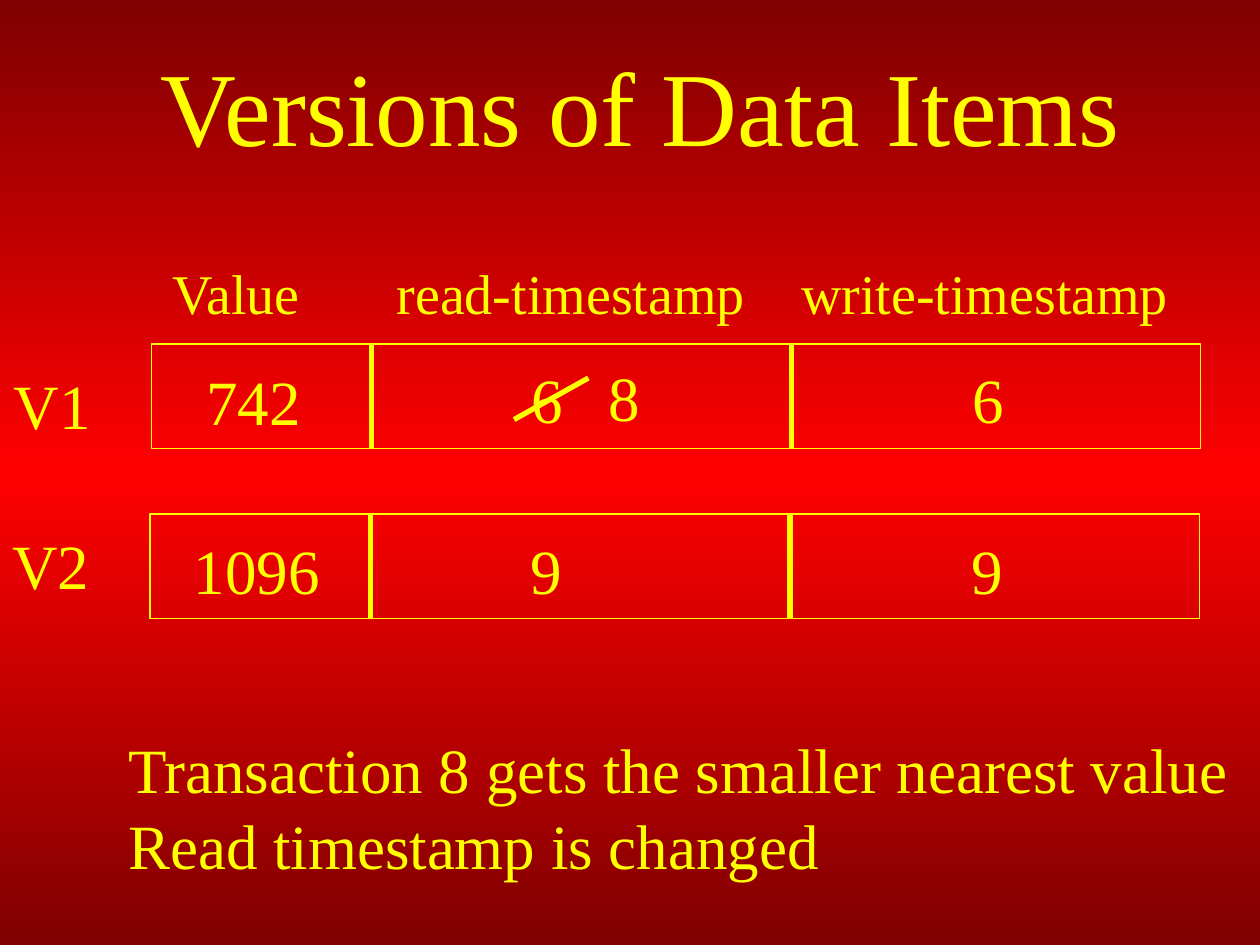
import copy
import pptx
import pptx.util
import pptx.dml.color
import pptx.enum.dml
import pptx.enum.shapes
import pptx.enum.text
import pptx.oxml
import pptx.oxml.ns
from pptx.util import Inches

YELLOW = "FFFF00"
FONT = "Times New Roman"


def rgb(value):
    return pptx.dml.color.RGBColor.from_string(value)


def add_background(s, colors):
    fill = s.background.fill
    fill.gradient()
    fill.gradient_angle = 270
    stops = s._element.find(".//" + pptx.oxml.ns.qn("a:gsLst"))
    stops.append(copy.deepcopy(stops[-1]))
    for i, (stop, color) in enumerate(zip(fill.gradient_stops, colors)):
        stop.position = i / (len(colors) - 1)
        stop.color.rgb = rgb(color)


def add_text(s, box, lines, size=36, wrap=False, tabs=()):
    sp = s.shapes.add_textbox(*map(Inches, box))
    tf = sp.text_frame
    tf.word_wrap = wrap
    for i, line in enumerate(lines):
        p = tf.add_paragraph() if i else tf.paragraphs[0]
        if tabs:
            tab_list = pptx.oxml.parse_xml(f"<a:tabLst {pptx.oxml.ns.nsdecls('a')}/>")
            for pos in tabs:
                tab = tab_list.makeelement(pptx.oxml.ns.qn("a:tab"))
                tab.set("pos", str(Inches(pos)))
                tab.set("algn", "l")
                tab_list.append(tab)
            p._p.get_or_add_pPr().append(tab_list)
        r = p.add_run()
        r.text = line
        r.font.name = FONT
        r.font.size = pptx.util.Pt(size)
        r.font.color.rgb = rgb(YELLOW)
    return tf


def add_line(s, x1, y1, x2, y2):
    line = s.shapes.add_connector(
        pptx.enum.shapes.MSO_CONNECTOR.STRAIGHT, *map(Inches, (x1, y1, x2, y2)))
    line.line.color.rgb = rgb(YELLOW)
    line.line.width = pptx.util.Pt(3)
    line._element.spPr.append(
        pptx.oxml.parse_xml(f"<a:effectLst {pptx.oxml.ns.nsdecls('a')}/>"))


def add_title(s, box, text):
    tf = add_text(s, box, [text], size=60, wrap=True)
    tf.vertical_anchor = pptx.enum.text.MSO_ANCHOR.MIDDLE
    tf.paragraphs[0].alignment = pptx.enum.text.PP_ALIGN.CENTER


def add_version(s, box, label, label_dy, cells):
    left, top, width, height = box
    sp = s.shapes.add_shape(
        pptx.enum.shapes.MSO_SHAPE.RECTANGLE, *map(Inches, box))
    sp.shadow.inherit = False
    sp.fill.background()
    sp.line.color.rgb = rgb(YELLOW)
    sp.line.width = pptx.util.Pt(0.75)
    for dx in (1.75, 5.08):
        add_line(s, left + dx, top, left + dx, top + height)
    for text, dx, dy, cell_width in cells:
        add_text(s, (left + dx, top + dy, cell_width, 0.7), [text])
    add_text(s, (left - 1.19, top + label_dy, 0.81, 0.7), [label])


def add_update(s, box, text):
    left, top, width, height = box
    add_line(s, left + width, top, left, top + height)
    add_text(s, (left + 0.65, top - 0.2, 0.45, 0.7), [text])


def main():
    prs = pptx.Presentation()
    prs.slide_width = Inches(10)
    prs.slide_height = Inches(7.5)
    s = prs.slides.add_slide(prs.slide_layouts[6])
    add_background(s, ("7F0000", "FF0000", "7F0000"))
    add_title(s, (0.83, 0.33, 8.5, 1), "Versions of Data Items")
    add_text(s, (1.27, 2, 8.17, 0.64), ["Value\tread-timestamp\twrite-timestamp"],
             size=32, wrap=True, tabs=(1.78, 4.99))
    add_version(s, (1.2, 2.73, 8.33, 0.83), "V1", 0.13,
                [("742", 0.34, 0.1, 0.95), ("6", 2.92, 0.08, 0.45), ("6", 6.42, 0.08, 0.45)])
    add_version(s, (1.19, 4.08, 8.33, 0.83), "V2", 0.05,
                [("1096", 0.25, 0.09, 1.2), ("9", 2.92, 0.09, 0.45), ("9", 6.42, 0.09, 0.45)])
    add_text(s, (0.92, 5.75, 8.94, 1.3),
             ["Transaction 8 gets the smaller nearest value", "Read timestamp is changed"])
    add_update(s, (4.08, 3, 0.59, 0.33), "8")
    prs.save("out.pptx")


if __name__ == "__main__":
    main()
